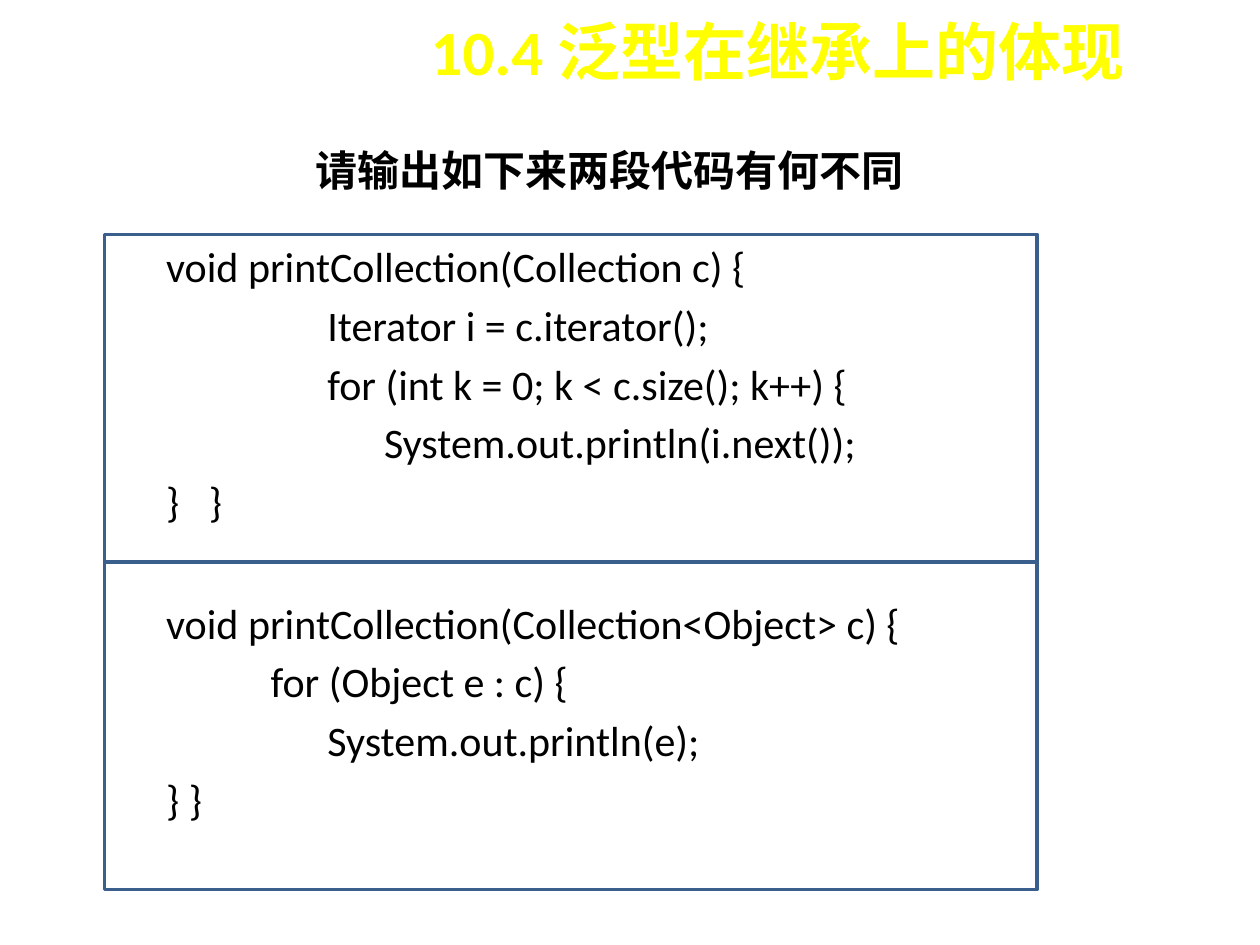
from pptx import Presentation
from pptx.dml.color import RGBColor
from pptx.enum.shapes import MSO_SHAPE
from pptx.enum.text import MSO_ANCHOR, PP_ALIGN
from pptx.oxml.ns import qn
from pptx.util import Inches, Pt
from lxml import etree

RECT = MSO_SHAPE.RECTANGLE
MIDDLE = MSO_ANCHOR.MIDDLE
CENTER = PP_ALIGN.CENTER
COLORS = {"title": "FFFF00", "text": "000000", "frame": "3A5F8C"}
LATIN, HAN = "Calibri", "Noto Sans CJK SC"
BASE, STEP = 0.83, 0.45
TAB = 0.34

FIRST = [
    (None, "void printCollection(Collection c) {"),
    (1, "Iterator i = c.iterator();"),
    (1, "for (int k = 0; k < c.size(); k++) {"),
    (2, "System.out.println(i.next());"),
    (None, "}\t}"),
]
SECOND = [
    (None, "void printCollection(Collection<Object> c) {"),
    (0, "for (Object e : c) {"),
    (1, "System.out.println(e);"),
    (None, "} }"),
]


def style(para, size, color, font=LATIN, bold=False):
    """Format every run of a paragraph, with a Han font for Chinese."""
    for run in para.runs:
        run.font.name = font
        run.font.size = Pt(size)
        run.font.bold = bold
        run.font.color.rgb = RGBColor.from_string(COLORS[color])
        latin = run.font._element.find(qn("a:latin"))
        east = etree.Element(qn("a:ea"), typeface=HAN)
        latin.addnext(east)


def add_box(slide, left, top, width, height):
    """Add a wrapping text box and return its frame."""
    box = slide.shapes.add_textbox(
        Inches(left), Inches(top), Inches(width), Inches(height))
    box.text_frame.word_wrap = True
    return box.text_frame


def add_head(slide, text, place, size, color, font=LATIN):
    """Add a bold one-line heading and return its frame."""
    frame = add_box(slide, *place)
    frame.text = text
    style(frame.paragraphs[0], size, color, font, True)
    return frame


def add_code(slide, lines, place):
    """Add code lines, indented by their level."""
    frame = add_box(slide, *place)
    frame.text = "\n".join(text for level, text in lines)
    for para, (level, text) in zip(frame.paragraphs, lines):
        para.space_before = Pt(4.8)
        style(para, 24, "text")
        props = para._p.get_or_add_pPr()
        if level is not None:
            props.set("marL", str(Inches(BASE + level * STEP)))
            props.set("indent", "0")
        if "\t" in text:
            tabs = etree.SubElement(props, qn("a:tabLst"))
            etree.SubElement(tabs, qn("a:tab"), pos=str(Inches(TAB)), algn="l")


def add_frame(slide, top):
    """Add an unfilled outline around one piece of code."""
    rect = slide.shapes.add_shape(
        RECT, Inches(0.83), Inches(top), Inches(7.4), Inches(2.6))
    rect.shadow.inherit = False
    rect.fill.background()
    rect.line.color.rgb = RGBColor.from_string(COLORS["frame"])
    rect.line.width = Pt(2)


def main():
    """Build the slide and save it."""
    deck = Presentation()
    deck.slide_width, deck.slide_height = Inches(10), Inches(7.5)
    slide = deck.slides.add_slide(deck.slide_layouts[6])
    task = add_head(slide, "请输出如下来两段代码有何不同",
                    (2.24, 1.07, 5.2, 0.55), 24, "text", HAN)
    task.vertical_anchor = MIDDLE
    task.paragraphs[0].alignment = CENTER
    add_code(slide, FIRST, (1.22, 1.86, 6.61, 2.52))
    add_code(slide, SECOND, (1.22, 4.69, 6.69, 2.05))
    for row in range(2):
        add_frame(slide, 1.86 + row * 2.6)
    add_head(slide, "10.4 泛型在继承上的体现",
             (3.32, 0.05, 6.01, 0.71), 36, "title")
    deck.save("out.pptx")


if __name__ == "__main__":
    main()
